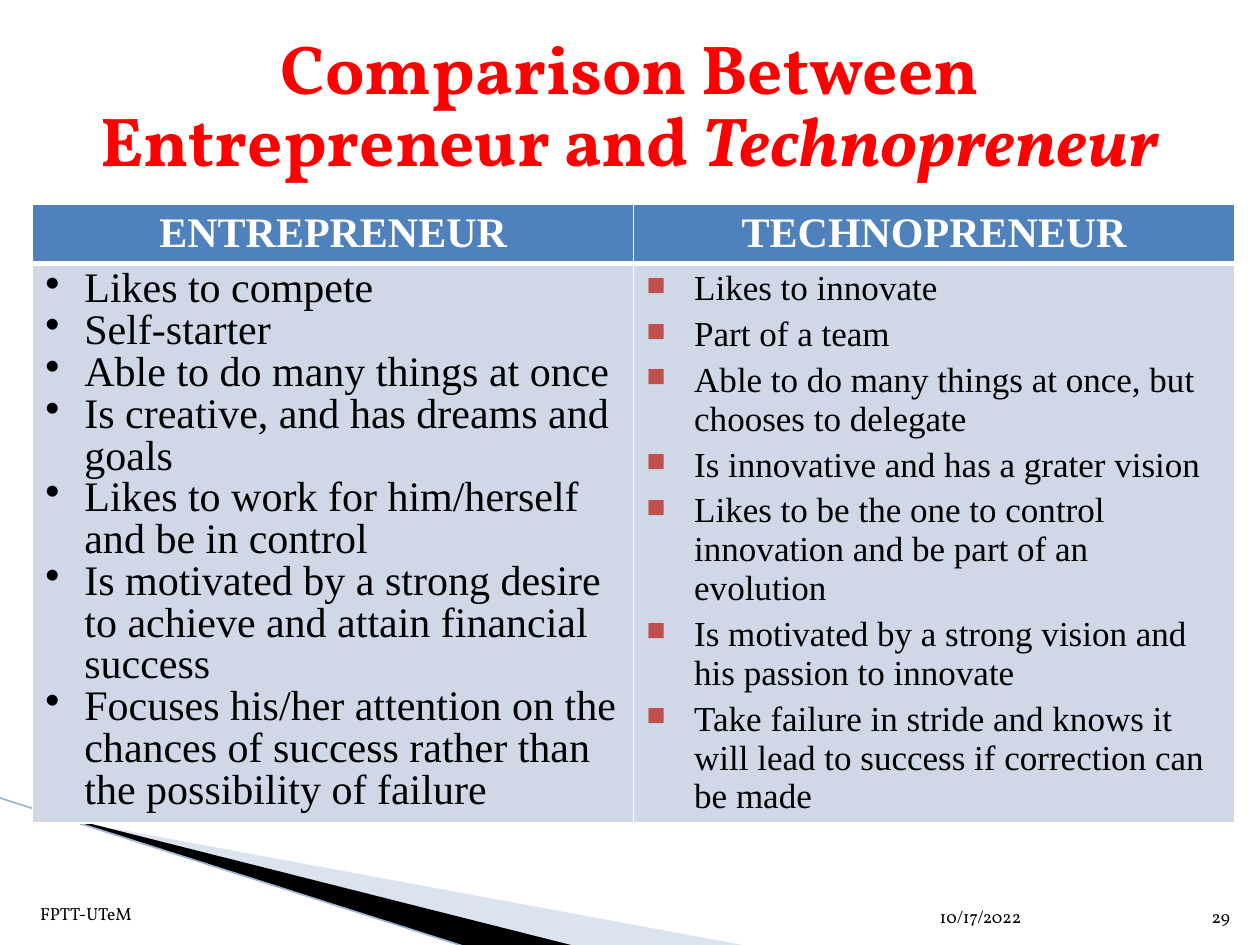
from lxml import etree
from pptx import Presentation
from pptx.dml.color import RGBColor
from pptx.enum import shapes, text
from pptx.oxml import ns
from pptx.util import Inches, Pt

SERIF, DISPLAY = "Times New Roman", "Vollkorn"
TITLE = [("Comparison Between Entrepreneur and ", False), ("Technopreneur", True)]
COLUMNS = [
    {
        "heading": "ENTREPRENEUR",
        "traits": [
            "Likes to compete",
            "Self-starter",
            "Able to do many things at once",
            "Is creative, and has dreams and goals",
            "Likes to work for him/herself and be in control",
            "Is motivated by a strong desire to achieve and attain financial success",
            "Focuses his/her attention on the chances of success rather than "
            "the possibility of failure",
        ],
        "size": 24, "indent": 0.31, "line_spacing": 0.9, "gap": 0,
        "bullet": {"char": "•"},
    },
    {
        "heading": "TECHNOPRENEUR",
        "traits": [
            "Likes to innovate",
            "Part of a team",
            "Able to do many things at once, but chooses to delegate",
            "Is innovative and has a grater vision",
            "Likes to be the one to control innovation and be part of an evolution",
            "Is motivated by a strong vision and his passion to innovate",
            "Take failure in stride and knows it will lead to success if "
            "correction can be made",
        ],
        "size": 20, "indent": 0.38, "line_spacing": None, "gap": 4,
        "bullet": {"char": "■", "color": "C0504D", "percent": 75},
    },
]
FOOTERS = [
    ("10/17/2022", (7.36, 7.01, 2.1, 0.4), text.PP_ALIGN.LEFT),
    ("FPTT-UTeM", (0.22, 7, 2.57, 0.38), text.PP_ALIGN.LEFT),
    ("29", (9.46, 7.01, 0.4, 0.4), text.PP_ALIGN.RIGHT),
]
WEDGES = [
    ([(0.55, 6.51), (5.95, 7.51), (4.56, 7.51), (0.55, 6.5)], "A7B9DB", 40),
    ([(0.53, 6.49), (4.57, 7.51), (3.72, 7.52), (0.54, 6.5)], "000000", 100),
]


def rgb(code):
    return RGBColor.from_string(code)


def add_xml(parent, tag, **attributes):
    values = {name: str(value) for name, value in attributes.items()}
    return etree.SubElement(parent, ns.qn(tag), values)


def add_text(para, words, size=24, font=SERIF, color="000000", bold=False,
             italic=False, align=None):
    span = para.add_run()
    span.text = words
    span.font.size = Pt(size)
    span.font.name = font
    span.font.color.rgb = rgb(color)
    span.font.bold = bold
    span.font.italic = italic
    if align is not None:
        para.alignment = align


def add_bullet(para, indent, char, color=None, percent=None):
    props = para._p.get_or_add_pPr()
    props.set("marL", str(Inches(indent)))
    props.set("indent", str(-Inches(indent)))
    if color:
        add_xml(add_xml(props, "a:buClr"), "a:srgbClr", val=color)
    if percent:
        add_xml(props, "a:buSzPct", val=percent * 1000)
    add_xml(props, "a:buChar", char=char)


def format_cell(cell, fill, top=1, bottom=1):
    """Fill the cell and give it white borders, with widths in points."""
    props = cell._tc.get_or_add_tcPr()
    for side, width in (("L", 1), ("R", 1), ("T", top), ("B", bottom)):
        border = add_xml(props, f"a:ln{side}", w=Pt(width))
        add_xml(add_xml(border, "a:solidFill"), "a:srgbClr", val="FFFFFF")
    cell.fill.solid()
    cell.fill.fore_color.rgb = rgb(fill)


def add_wedge(page, points, color, opacity):
    scaled = [(Inches(x), Inches(y)) for x, y in points]
    builder = page.shapes.build_freeform(*scaled[0])
    builder.add_line_segments(scaled[1:], close=True)
    wedge = builder.convert_to_shape()
    wedge.shadow.inherit = False
    wedge.line.fill.background()
    wedge.fill.solid()
    wedge.fill.fore_color.rgb = rgb(color)
    if opacity < 100:
        tint = wedge._element.spPr.find(".//" + ns.qn("a:srgbClr"))
        add_xml(tint, "a:alpha", val=opacity * 1000)


def add_comparison(page):
    frame = page.shapes.add_table(2, len(COLUMNS), Inches(0.26), Inches(1.62),
                                  Inches(9.54), Inches(4.9))
    table = frame.table
    table.first_row = table.horz_banding = False
    table.rows[0].height = Inches(0.46)
    table.rows[1].height = Inches(4.44)
    for index, column in enumerate(COLUMNS):
        table.columns[index].width = Inches(4.77)
        head, body = table.cell(0, index), table.cell(1, index)
        format_cell(head, "4F81BD", bottom=3)
        format_cell(body, "D0D8E8", top=3)
        add_text(head.text_frame.paragraphs[0], column["heading"],
                 color="FFFFFF", bold=True, align=text.PP_ALIGN.CENTER)
        for number, trait in enumerate(column["traits"]):
            box = body.text_frame
            para = box.add_paragraph() if number else box.paragraphs[0]
            add_bullet(para, column["indent"], **column["bullet"])
            para.line_spacing = column["line_spacing"]
            if number:
                para.space_before = Pt(column["gap"])
            add_text(para, trait, size=column["size"])


def main():
    deck = Presentation()
    deck.slide_width, deck.slide_height = Inches(10), Inches(7.5)
    page = deck.slides.add_slide(deck.slide_layouts[5])

    for wedge in WEDGES:
        add_wedge(page, *wedge)
    edge = page.shapes.add_connector(shapes.MSO_CONNECTOR.STRAIGHT, Inches(-0.01),
                                     Inches(6.33), Inches(3.71), Inches(7.52))
    edge.line.color.rgb = rgb("9EB3D6")
    edge.line.width = Pt(0.95)
    add_xml(edge._element.spPr, "a:effectLst")

    add_comparison(page)

    for words, place, align in FOOTERS:
        box = page.shapes.add_textbox(*map(Inches, place)).text_frame
        box.word_wrap = True
        box.vertical_anchor = text.MSO_ANCHOR.BOTTOM
        add_text(box.paragraphs[0], words, size=10, font=DISPLAY, align=align)

    title = page.shapes.title
    title.left, title.top = Inches(0.5), Inches(0.3)
    title.width, title.height = Inches(9), Inches(1.13)
    title.text_frame.auto_size = text.MSO_AUTO_SIZE.NONE
    title.text_frame.vertical_anchor = text.MSO_ANCHOR.MIDDLE
    para = title.text_frame.paragraphs[0]
    para.line_spacing = 0.86
    for words, italic in TITLE:
        add_text(para, words, size=39.6, font=DISPLAY, color="FF0000", bold=True,
                 italic=italic, align=text.PP_ALIGN.CENTER)

    deck.save("out.pptx")


if __name__ == "__main__":
    main()
